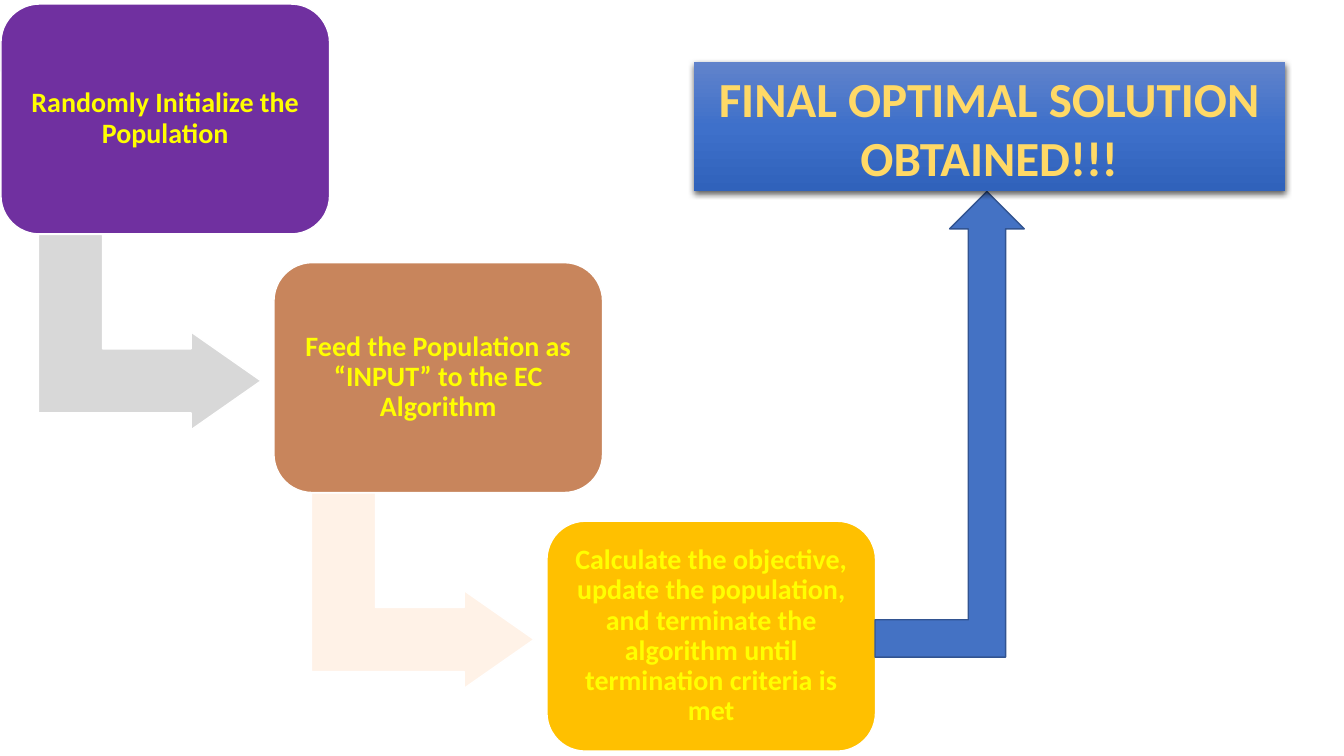
from dataclasses import dataclass

from lxml.etree import SubElement
from pptx import Presentation
from pptx.dml.color import RGBColor
from pptx.enum.shapes import MSO_SHAPE as Preset
from pptx.enum.text import MSO_ANCHOR as Anchor, PP_ALIGN as Align
from pptx.oxml.ns import qn
from pptx.util import Pt

STEP_LEFT, STEP_TOP = 0.7, 2.9
STEP_WIDTH, STEP_HEIGHT = 234.7, 164.2
STEP_RIGHT, STEP_DOWN = 195, 184.7
ARROW_LEFT, ARROW_TOP = 37.2, 157.7
ARROW_WIDTH, ARROW_HEIGHT = 139.5, 159


@dataclass
class Step:
    text: str
    color: str
    arrow_color: str = ""


STEPS = [
    Step("Randomly Initialize the Population", "7030A0", "D8D8D8"),
    Step("Feed the Population as “INPUT” to the EC Algorithm", "C8855C", "FFF2E7"),
    Step("Calculate the objective, update the population, and terminate the "
         "algorithm until termination criteria is met", "FFC000"),
]


def rgb(color: str) -> RGBColor:
    return RGBColor.from_string(color)


def add_block(slide, preset, left: float, top: float, width: float, height: float,
              fill: str, line: str = ""):
    shape = slide.shapes.add_shape(preset, Pt(left), Pt(top), Pt(width), Pt(height))
    shape.shadow.inherit = False
    shape.fill.solid()
    shape.fill.fore_color.rgb = rgb(fill)
    if line:
        shape.line.color.rgb = rgb(line)
        shape.line.width = Pt(1)
    else:
        shape.line.fill.background()
    return shape


def write_text(shape, text: str, *, size: float, color: str,
               spacing: float = 1.0, inset_x: float = 6, inset_y: float = 6) -> None:
    frame = shape.text_frame
    frame.word_wrap = True
    frame.vertical_anchor = Anchor.MIDDLE
    frame.margin_left = frame.margin_right = Pt(inset_x)
    frame.margin_top = frame.margin_bottom = Pt(inset_y)
    paragraph = frame.paragraphs[0]
    paragraph.alignment = Align.CENTER
    paragraph.line_spacing = spacing
    run = paragraph.add_run()
    run.text = text
    run.font.name = "Calibri"
    run.font.size = Pt(size)
    run.font.bold = True
    run.font.color.rgb = rgb(color)


def set_gradient(shape, stops: list[tuple[int, str]]) -> None:
    """Fill from top to bottom; stop positions are percentages."""
    shape.fill.gradient()
    shape.fill.gradient_angle = 270
    stop_list = shape._element.spPr.find(qn("a:gradFill")).find(qn("a:gsLst"))
    for old_stop in list(stop_list):
        stop_list.remove(old_stop)
    for position, color in stops:
        stop = SubElement(stop_list, qn("a:gs"), pos=str(position * 1000))
        SubElement(stop, qn("a:srgbClr"), val=color)


def add_shadow(shape, blur: float, distance: float, opacity: int) -> None:
    effects = shape._element.spPr.find(qn("a:effectLst"))
    shadow = SubElement(effects, qn("a:outerShdw"), blurRad=str(Pt(blur)),
                        dist=str(Pt(distance)), dir="5400000", rotWithShape="0")
    color = SubElement(shadow, qn("a:srgbClr"), val="000000")
    SubElement(color, qn("a:alpha"), val=str(opacity * 1000))


def add_step(slide, index: int, step: Step) -> None:
    right, down = index * STEP_RIGHT, index * STEP_DOWN
    if step.arrow_color:
        arrow = add_block(slide, Preset.BENT_UP_ARROW, ARROW_LEFT + right,
                          ARROW_TOP + down, ARROW_WIDTH, ARROW_HEIGHT,
                          step.arrow_color, "FFFFFF")
        arrow.rotation = 90
        for position, value in enumerate((0.328, 0.25, 0.358)):
            arrow.adjustments[position] = value
    box = add_block(slide, Preset.ROUNDED_RECTANGLE, STEP_LEFT + right,
                    STEP_TOP + down, STEP_WIDTH, STEP_HEIGHT, step.color, "FFFFFF")
    write_text(box, step.text, size=20, color="FFFF00", spacing=0.9)


def main() -> None:
    presentation = Presentation()
    presentation.slide_width, presentation.slide_height = Pt(960), Pt(540)
    slide = presentation.slides.add_slide(presentation.slide_layouts[6])

    # Staircase of steps
    for index, step in enumerate(STEPS):
        add_step(slide, index, step)

    # Arrow up to the result
    add_block(slide, Preset.BENT_UP_ARROW, 625, 136.8, 106.6, 332.6, "4472C4", "325491")

    # Result
    result = add_block(slide, Preset.RECTANGLE, 495.4, 44.6, 422.6, 92.2, "3E70CA")
    set_gradient(result, [(0, "6183CB"), (50, "3E70CA"), (100, "3062BB")])
    add_shadow(result, blur=4.5, distance=1.5, opacity=63)
    write_text(result, "FINAL OPTIMAL SOLUTION OBTAINED!!!", size=35, color="FFD966",
               inset_x=7.2, inset_y=3.6)

    presentation.save("out.pptx")


if __name__ == "__main__":
    main()
